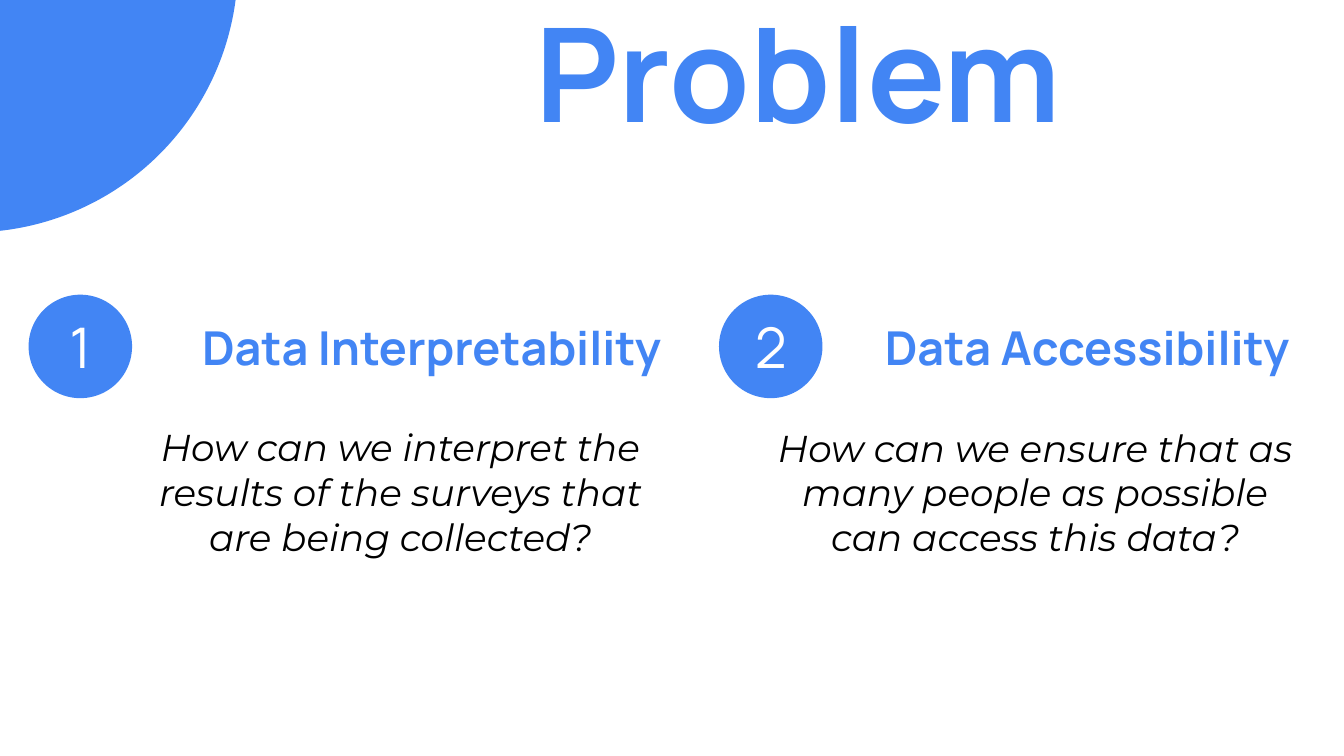
from dataclasses import dataclass

from pptx import Presentation
from pptx import util as u
from pptx.dml.color import RGBColor
from pptx.enum import shapes, text

COLS, ROWS = 100, 56.25
CELL = u.Inches(0.1)


@dataclass(frozen=True)
class Theme:
    blue: str = "4285F4"
    white: str = "FFFFFF"
    black: str = "000000"
    display: str = "Manrope"
    body: str = "Montserrat"
    title_size: int = 70
    number_size: int = 30
    heading_size: int = 25
    body_size: int = 20


T = Theme()

BADGE_LEFT, BADGE_TOP, BADGE_SIZE, BADGE_STEP = 2.13, 21.93, 7.7, 51.37
HEADING_TOP, HEADING_HEIGHT = 23.24, 5.1

PROBLEMS = [
    ("Data Interpretability", (10.7, 42.8),
     "How can we interpret the results of the surveys that are being collected?",
     (8.4, 31.44, 42.8, 10.3)),
    ("Data Accessibility", (64.33, 33.1),
     "How can we ensure that as many people as possible can access this data?",
     (56.63, 31.2, 40.8, 10.8)),
]


def grid(*cells):
    return [round(c * CELL) for c in cells]


def write(sp, words, font, size, color, bold=False, italic=False):
    tf = sp.text_frame
    tf.word_wrap = True
    tf.vertical_anchor = text.MSO_ANCHOR.MIDDLE
    tf.margin_left = tf.margin_right = tf.margin_top = tf.margin_bottom = CELL
    tf.text = words
    p = tf.paragraphs[0]
    p.alignment = text.PP_ALIGN.CENTER
    f = p.runs[0].font
    f.name, f.size, f.bold, f.italic = font, u.Pt(size), bold, italic
    f.color.rgb = RGBColor.from_string(color)


def add_circle(s, left, top, size):
    sp = s.shapes.add_shape(shapes.MSO_SHAPE.OVAL, *grid(left, top, size, size))
    sp.shadow.inherit = False
    sp.fill.solid()
    sp.fill.fore_color.rgb = RGBColor.from_string(T.blue)
    sp.line.fill.background()
    return sp


def add_text(s, box, words, *style, **emphasis):
    write(s.shapes.add_textbox(*grid(*box)), words, *style, **emphasis)


def add_problem(s, index, heading, heading_span, question, question_box):
    badge = add_circle(s, BADGE_LEFT + index * BADGE_STEP, BADGE_TOP, BADGE_SIZE)
    write(badge, str(index + 1), T.display, T.number_size, T.white)
    left, width = heading_span
    add_text(s, (left, HEADING_TOP, width, HEADING_HEIGHT), heading,
             T.display, T.heading_size, T.blue, bold=True)
    add_text(s, question_box, question, T.body, T.body_size, T.black, italic=True)


def main():
    prs = Presentation()
    prs.slide_width, prs.slide_height = grid(COLS, ROWS)
    s = prs.slides.add_slide(prs.slide_layouts[6])
    add_circle(s, -22.1, -22.5, 39.8)
    add_text(s, (18.8, 0.1, 81.2, 10.3), "Problem",
             T.display, T.title_size, T.blue, bold=True)
    for index, problem in enumerate(PROBLEMS):
        add_problem(s, index, *problem)
    prs.save("out.pptx")


if __name__ == "__main__":
    main()
